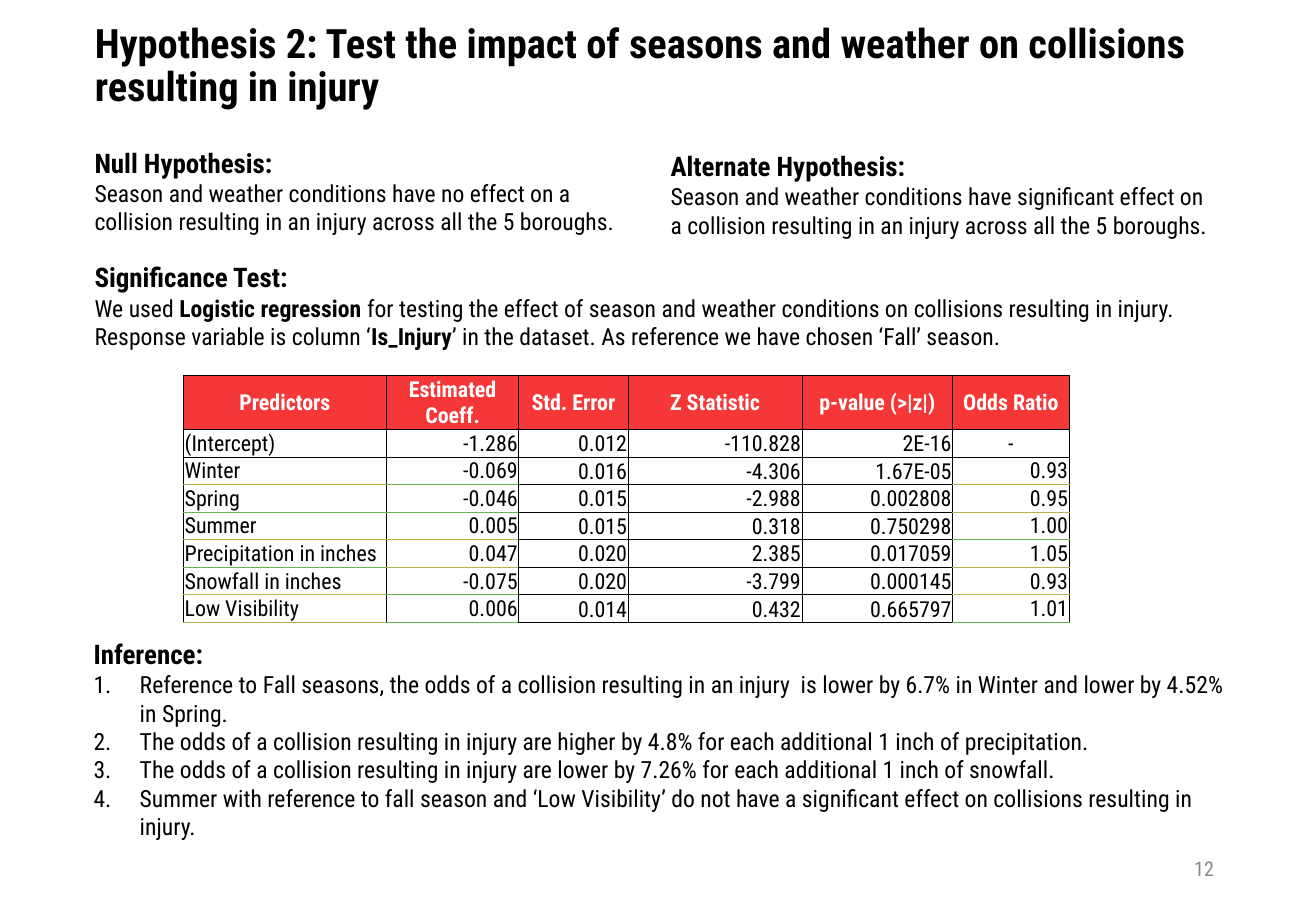
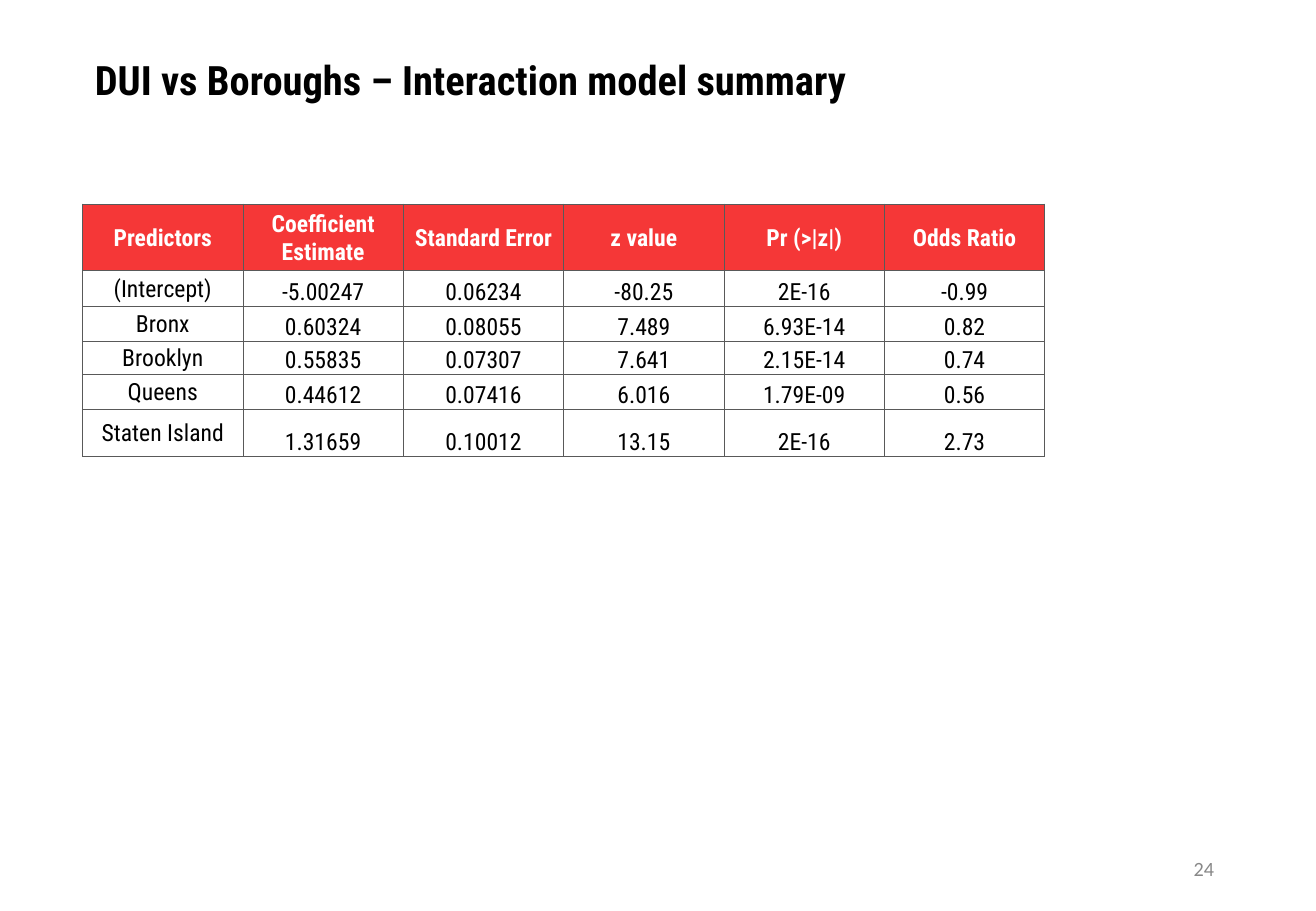
import dataclasses

import lxml.etree
import pptx
import pptx.dml.color
import pptx.enum.shapes
import pptx.enum.text
import pptx.oxml.ns
import pptx.util

Inches = pptx.util.Inches
Pt = pptx.util.Pt
Align = pptx.enum.text.PP_ALIGN
Anchor = pptx.enum.text.MSO_ANCHOR
AutoSize = pptx.enum.text.MSO_AUTO_SIZE


@dataclasses.dataclass(frozen=True)
class Theme:
    """Colours, fonts and type sizes shared by the slides."""
    font: str = "Roboto Condensed"
    plain_font: str = "Calibri"
    ink: str = "000000"
    paper: str = "FFFFFF"
    header: str = "F53737"
    muted: str = "888888"
    grid: str = "595959"
    olive: str = "B8B251"
    green: str = "68B451"
    title: int = 24
    heading: int = 16
    body: int = 14
    compact: int = 13
    number: int = 12
    rule: float = 0.5


T = Theme()
TITLE_BOX = (0.68, 0.11, 9.62, 0.8)
NUMBER_BOX = (7.65, 6.95, 2.44, 0.4)


def rgb(color):
    """Turn a hex string into a colour."""
    return pptx.dml.color.RGBColor.from_string(color)


def add_node(parent, tag, **attrs):
    """Append a DrawingML element."""
    return lxml.etree.SubElement(parent, pptx.oxml.ns.qn(tag), attrs)


def place(s, box):
    """Move a shape to a box given in inches."""
    s.left, s.top, s.width, s.height = (Inches(v) for v in box)


def add_run(p, text, size, bold=False, color=T.ink, font=T.font):
    """Add one formatted run."""
    r = p.add_run()
    r.text = text
    r.font.name = font
    r.font.size = Pt(size)
    r.font.bold = bold
    r.font.color.rgb = rgb(color)


def add_heading(tf, text):
    """Write a bold heading in the first paragraph."""
    p = tf.paragraphs[0]
    p.alignment = Align.LEFT
    p.space_before = Pt(0)
    add_run(p, text, T.heading, True)
    return p


def add_passage(tf, heading, runs):
    """Write a heading and a paragraph of (text, bold) runs."""
    add_heading(tf, heading)
    p = tf.add_paragraph()
    p.alignment = Align.LEFT
    for text, bold in runs:
        add_run(p, text, T.body, bold)


def add_text_box(slide, box):
    """Add an empty wrapping text box and return its frame."""
    s = slide.shapes.add_textbox(*(Inches(v) for v in box))
    s.text_frame.word_wrap = True
    return s.text_frame


def add_base(prs, layout, title, title_box, number, number_font=T.font):
    """Start a slide with its title and page number."""
    slide = prs.slides.add_slide(prs.slide_layouts[layout])
    s = slide.shapes.title
    place(s, title_box)
    tf = s.text_frame
    tf.vertical_anchor = Anchor.BOTTOM
    tf.auto_size = AutoSize.NONE
    p = tf.paragraphs[0]
    p.alignment = Align.LEFT
    p.line_spacing = 0.9
    add_run(p, title, T.title, True)
    tf = add_text_box(slide, NUMBER_BOX)
    tf.vertical_anchor = Anchor.MIDDLE
    p = tf.paragraphs[0]
    p.alignment = Align.RIGHT
    add_run(p, number, T.number, color=T.muted, font=number_font)
    return slide


def add_panel(slide, box, heading, text):
    """Add a white panel holding one hypothesis."""
    rect = pptx.enum.shapes.MSO_SHAPE.RECTANGLE
    s = slide.shapes.add_shape(rect, *(Inches(v) for v in box))
    s.shadow.inherit = False
    s.fill.solid()
    s.fill.fore_color.rgb = rgb(T.paper)
    s.line.fill.background()
    s.text_frame.word_wrap = True
    s.text_frame.vertical_anchor = Anchor.MIDDLE
    add_passage(s.text_frame, heading, [(text, False)])


def add_numbered_list(slide, box, heading, items):
    """Fill the body placeholder with a heading and numbered items."""
    s = slide.placeholders[1]
    place(s, box)
    tf = s.text_frame
    tf.auto_size = AutoSize.SHAPE_TO_FIT_TEXT
    tf.vertical_anchor = Anchor.TOP
    pPr = add_heading(tf, heading)._p.get_or_add_pPr()
    pPr.set("marL", "0")
    pPr.set("indent", "0")
    add_node(pPr, "a:buNone")
    for item in items:
        p = tf.add_paragraph()
        p.space_before = Pt(0)
        pPr = p._p.get_or_add_pPr()
        pPr.set("marL", str(Inches(0.38)))
        pPr.set("indent", str(-Inches(0.38)))
        add_node(add_node(pPr, "a:buClr"), "a:srgbClr", val=T.ink)
        add_node(pPr, "a:buFont", typeface=T.font)
        add_node(pPr, "a:buAutoNum", type="arabicPeriod")
        add_run(p, item, T.body)


def set_borders(cell, color, **sides):
    """Rule a cell on four sides, with other colours for named sides."""
    tcPr = cell._tc.get_or_add_tcPr()
    for side in "LRTB":
        ln = add_node(tcPr, f"a:ln{side}", w=str(Pt(T.rule)))
        fill = add_node(ln, "a:solidFill")
        add_node(fill, "a:srgbClr", val=sides.get(side, color))


def add_grid(slide, origin, widths, heights, rows, size, border, align, edges=None):
    """Add a table; edges maps (row, column) to the colour of its lower rule."""
    edges = edges or {}
    box = (*origin, sum(widths), sum(heights))
    frame = slide.shapes.add_table(len(rows), len(widths), *(Inches(v) for v in box))
    table = frame.table
    table.horz_banding = False
    for column, width in zip(table.columns, widths):
        column.width = Inches(width)
    for row, height in zip(table.rows, heights):
        row.height = Inches(height)
    for i, texts in enumerate(rows):
        for j, text in enumerate(texts):
            cell = table.cell(i, j)
            head = i == 0
            set_borders(cell, border, T=edges.get((i - 1, j), border),
                        B=edges.get((i, j), border))
            cell.fill.solid()
            cell.fill.fore_color.rgb = rgb(T.header if head else T.paper)
            cell.margin_left = cell.margin_right = cell.margin_top = Inches(0.01)
            cell.margin_bottom = 0
            middle = head or j == 0 or text == "-" or (i, j) in edges
            cell.vertical_anchor = Anchor.MIDDLE if middle else Anchor.BOTTOM
            p = cell.text_frame.paragraphs[0]
            p.alignment = Align.CENTER if head or text == "-" else align[j]
            add_run(p, text, size, head, T.paper if head else T.ink)


def build_hypothesis(prs):
    """Build the slide on seasons and weather."""
    x, y, w, h = TITLE_BOX
    slide = add_base(
        prs, 1,
        "Hypothesis 2: Test the impact of seasons and weather on collisions resulting in injury",
        (x, y + 0.05, w, h), "12")
    panels = [
        ("Null Hypothesis:", "Season and weather conditions have no effect on a collision "
         "resulting in an injury across all the 5 boroughs."),
        ("Alternate Hypothesis:", "Season and weather conditions have significant effect on "
         "a collision resulting in an injury across all the 5 boroughs."),
    ]
    for i, (heading, text) in enumerate(panels):
        add_panel(slide, (x + 4.74 * i, 0.93 + 0.03 * i, 4.67, 1.28), heading, text)
    add_passage(add_text_box(slide, (x, 2.1, w, 0.84)), "Significance Test:", [
        ("We used ", False),
        ("Logistic regression ", True),
        ("for testing the effect of season and weather conditions on collisions "
         "resulting in injury. Response variable is column ‘", False),
        ("Is_Injury", True),
        ("’ in the dataset. As reference we have chosen ‘Fall’ season.", False),
    ])
    rows = [
        ("Predictors", "Estimated Coeff.", "Std. Error", "Z Statistic", "p-value (>|z|)", "Odds Ratio"),
        ("(Intercept)", "-1.286", "0.012", "-110.828", "2E-16", "-"),
        ("Winter", "-0.069", "0.016", "-4.306", "1.67E-05", "0.93"),
        ("Spring", "-0.046", "0.015", "-2.988", "0.002808", "0.95"),
        ("Summer", "0.005", "0.015", "0.318", "0.750298", "1.00"),
        ("Precipitation in inches", "0.047", "0.020", "2.385", "0.017059", "1.05"),
        ("Snowfall in inches", "-0.075", "0.020", "-3.799", "0.000145", "0.93"),
        ("Low Visibility", "0.006", "0.014", "0.432", "0.665797", "1.01"),
    ]
    tints = {"O": T.olive, "G": T.green}
    patterns = ("OGO", "GGO", "OOG", "GOO", "OGO", "OGG")
    edges = {(i, j): tints[key] for i, pattern in enumerate(patterns, 2)
             for j, key in zip((0, 1, 5), pattern)}
    add_grid(slide, (1.51, 3.09), [1.67, 1.09, 0.9, 1.43, 1.24, 0.96],
             [0.44] + [0.22] * 7, rows, T.compact, T.ink,
             [Align.LEFT] + [Align.RIGHT] * 5, edges)
    add_numbered_list(slide, (x - 0.01, 5.2, w, 1.55), "Inference:", [
        "Reference to Fall seasons, the odds of a collision resulting in an injury  is lower "
        "by 6.7% in Winter and lower by 4.52% in Spring.",
        "The odds of a collision resulting in injury are higher by 4.8% for each additional "
        "1 inch of precipitation.",
        "The odds of a collision resulting in injury are lower by 7.26% for each additional "
        "1 inch of snowfall.",
        "Summer with reference to fall season and ‘Low Visibility’ do not have a significant "
        "effect on collisions resulting in injury.",
    ])


def build_summary(prs):
    """Build the slide on the interaction model."""
    slide = add_base(prs, 5, "DUI vs Boroughs – Interaction model summary",
                     TITLE_BOX, "24", T.plain_font)
    rows = [
        ("Predictors", "Coefficient Estimate", "Standard Error", "z value", "Pr (>|z|)", "Odds Ratio"),
        ("(Intercept)", "-5.00247", "0.06234", "-80.25", "2E-16", "-0.99"),
        ("Bronx", "0.60324", "0.08055", "7.489", "6.93E-14", "0.82"),
        ("Brooklyn", "0.55835", "0.07307", "7.641", "2.15E-14", "0.74"),
        ("Queens", "0.44612", "0.07416", "6.016", "1.79E-09", "0.56"),
        ("Staten Island", "1.31659", "0.10012", "13.15", "2E-16", "2.73"),
    ]
    add_grid(slide, (0.68, 1.68), [1.32] * 6, [0.55, 0.29, 0.29, 0.27, 0.29, 0.39],
             rows, T.body, T.grid, [Align.CENTER] * 6)


def main():
    """Build and save the presentation."""
    prs = pptx.Presentation()
    prs.slide_width = Inches(10.83)
    prs.slide_height = Inches(7.5)
    build_hypothesis(prs)
    build_summary(prs)
    prs.save("out.pptx")


if __name__ == "__main__":
    main()
